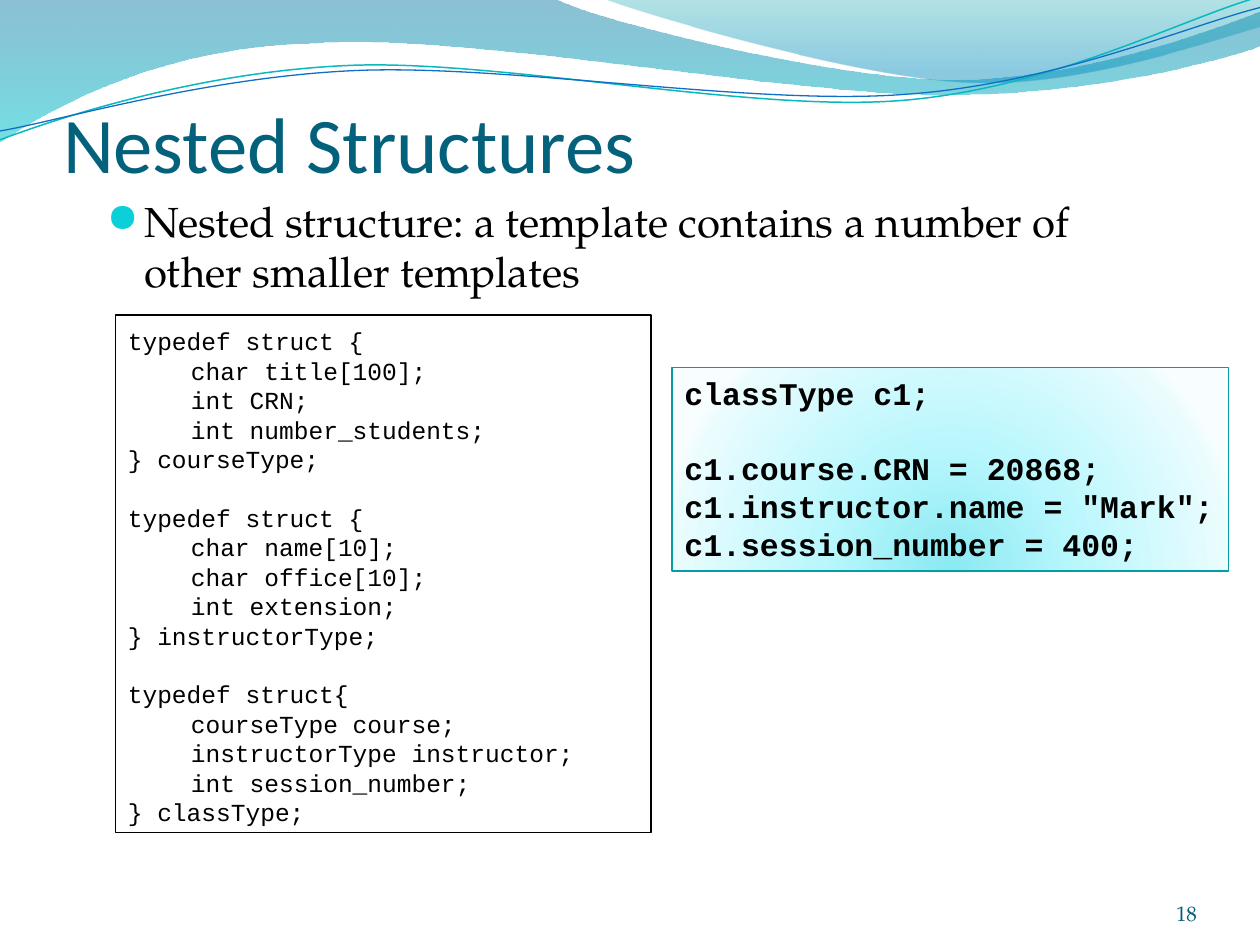
from lxml import etree
from pptx import Presentation
from pptx.dml.color import RGBColor
from pptx.enum.shapes import MSO_SHAPE
from pptx.enum.text import MSO_ANCHOR, MSO_AUTO_SIZE, PP_ALIGN
from pptx.oxml.ns import qn
from pptx.util import Inches, Pt

RECT = MSO_SHAPE.RECTANGLE
TOP, BOTTOM = MSO_ANCHOR.TOP, MSO_ANCHOR.BOTTOM
LEFT, RIGHT = PP_ALIGN.LEFT, PP_ALIGN.RIGHT
FIXED = MSO_AUTO_SIZE.NONE

WIDE, HIGH = 10, 7.5
COLS = 120  # square cells, so 90 rows
COLORS = {
    "title": "04617B", "text": "000000", "bullet": "0BD0D9",
    "number": "045D75", "teal": "0AB8BF", "blue": "0F6FC6",
    "edge": "069CA3",
}
HEAD, BODY, MONO, SIGN = "Calibri", "TeX Gyre Pagella", "Courier New", "OpenSymbol"

# Stops are (position %, colour, opacity %)
DEEP = [(0, "0074A1", 45), (100, "00C6CF", 55)]
PALE = [(0, "00A1A9", 30), (80, "008BBF", 45)]
GLOW = [(0, "8BE9F1", 100), (43, "B9F7FD", 100),
        (93, "EAFCFE", 100), (100, "F8FEFF", 100)]

# Points in hundredths of an inch; a step has one point (line) or three (curve)
BAND = [
    [(440, -1)],
    [(476, 17), (664, 63), (758, 63)],
    [(853, 63), (958, 26), (1000, 9)],
    [(1001, 36)],
    [(983, 44), (870, 76), (746, 75)],
    [(622, 75), (382, 28), (257, 34)],
    [(129, 36), (46, 83), (-1, 113)],
]
CREST = [
    [(509, 11), (682, 62), (769, 65)],
    [(856, 69), (961, 32), (1000, 21)],
    [(1000, 0)],
]
UPPER = [
    [(48, 93), (158, 57), (277, 52)],
    [(395, 47), (593, 89), (713, 80)],
    [(833, 71), (938, 15), (998, -2)],
]
LOWER = [
    [(47, 96), (164, 61), (283, 56)],
    [(403, 51), (597, 84), (717, 75)],
    [(836, 67), (941, 21), (1000, 6)],
]

# A tab marks an indented line; each inner list is a block
STRUCTS = [
    ["typedef struct {", "\tchar title[100];", "\tint CRN;",
     "\tint number_students;", "} courseType;"],
    ["typedef struct {", "\tchar name[10];", "\tchar office[10];",
     "\tint extension;", "} instructorType;"],
    ["typedef struct{", "\tcourseType course;",
     "\tinstructorType instructor;", "\tint session_number;",
     "} classType;"],
]
USAGE = [
    ["classType c1;"],
    ["c1.course.CRN = 20868;", 'c1.instructor.name = "Mark";',
     "c1.session_number = 400;"],
]


def rgb(name):
    return RGBColor.from_string(COLORS[name])


def node(parent, tag, **attrs):
    made = etree.SubElement(parent, qn(tag))
    for key, value in attrs.items():
        made.set(key, str(value))
    return made


def bend(shape, steps):
    """Join each run of three line segments into one cubic curve."""
    lines = iter(list(shape._element.iter(qn("a:lnTo"))))
    for step in steps:
        group = [next(lines) for _ in step]
        if len(group) == 3:
            curve = etree.Element(qn("a:cubicBezTo"))
            group[0].addprevious(curve)
            for line in group:
                curve.append(line[0])
                line.getparent().remove(line)


class Deck:
    def __init__(self):
        self.prs = Presentation()
        self.prs.slide_width = Inches(WIDE)
        self.prs.slide_height = Inches(HIGH)
        self.slide = self.prs.slides.add_slide(self.prs.slide_layouts[5])
        self.shapes = self.slide.shapes

    def cells(self, *spans):
        return [Inches(span * WIDE / COLS) for span in spans]

    def frame(self, shape, anchor=TOP, pads=(0.1, 0.05, 0.1, 0.05), wrap=True):
        box = shape.text_frame
        box.auto_size, box.word_wrap, box.vertical_anchor = FIXED, wrap, anchor
        (box.margin_left, box.margin_top,
         box.margin_right, box.margin_bottom) = map(Inches, pads)
        return box

    def style(self, para, font, size, color, align=LEFT, bold=False):
        para.alignment = align
        for run in para.runs:
            run.font.name, run.font.size = font, Pt(size)
            run.font.bold = bold
            run.font.color.rgb = rgb(color)

    def blend(self, shape, stops, around=None):
        """Fill with a gradient, downwards or around a rectangle."""
        shape.fill.solid()
        props = shape._element.spPr
        grad = etree.Element(qn("a:gradFill"), rotWithShape="1")
        props.replace(props.find(qn("a:solidFill")), grad)
        row = node(grad, "a:gsLst")
        for place, color, solid in stops:
            stop = node(row, "a:gs", pos=place * 1000)
            tint = node(stop, "a:srgbClr", val=color)
            if solid < 100:
                node(tint, "a:alpha", val=solid * 1000)
        if around:
            ring = node(grad, "a:path", path="circle")
            sides = {k: v * 1000 for k, v in zip("ltrb", around)}
            node(ring, "a:fillToRect", **sides)
        else:
            node(grad, "a:lin", ang=5400000, scaled=0)

    def wave(self, start, steps, stops=None, line=None, width=0.75):
        """Draw a filled wave if stops are given, else a curved line."""
        pen = self.shapes.build_freeform(*start, scale=Inches(0.01))
        pen.add_line_segments(sum(steps, []), close=bool(stops))
        shape = pen.convert_to_shape()
        bend(shape, steps)
        shape.shadow.inherit = False
        if stops:
            self.blend(shape, stops)
            shape.line.fill.background()
        else:
            shape.fill.background()
            shape.line.color.rgb = rgb(line)
            shape.line.width = Pt(width)

    def title(self, text, *place):
        shape = self.shapes.title
        shape.left, shape.top, shape.width, shape.height = self.cells(*place)
        box = self.frame(shape, BOTTOM, (0, 0.05, 0, 0))
        box.text = text
        self.style(box.paragraphs[0], HEAD, 45, "title")

    def point(self, text, *place):
        box = self.frame(self.shapes.add_textbox(*self.cells(*place)))
        box.text = text
        para = box.paragraphs[0]
        self.style(para, BODY, 24, "text")
        para.space_before = Pt(4.8)
        props = para._p.get_or_add_pPr()
        props.set("marL", str(Inches(0.3)))
        props.set("indent", str(-Inches(0.3)))
        node(node(props, "a:buClr"), "a:srgbClr", val=COLORS["bullet"])
        node(props, "a:buSzPct", val=95000)
        node(props, "a:buFont", typeface=SIGN)
        node(props, "a:buChar", char="●")

    def number(self, text, *place):
        shape = self.shapes.add_textbox(*self.cells(*place))
        box = self.frame(shape, BOTTOM, (0, 0, 0, 0))
        box.text = text
        self.style(box.paragraphs[0], BODY, 12, "number", RIGHT)

    def code(self, blocks, place, size, line, anchor=TOP, bold=False, wrap=True):
        shape = self.shapes.add_shape(RECT, *self.cells(*place))
        shape.shadow.inherit = False
        shape.fill.background()
        shape.line.color.rgb, shape.line.width = rgb(line), Pt(0.75)
        box = self.frame(shape, anchor, wrap=wrap)
        rows = [(row, i > 0 and j == 0) for i, block in enumerate(blocks)
                for j, row in enumerate(block)]
        box.text = "\n".join(row.strip() for row, _ in rows)
        for para, (row, gap) in zip(box.paragraphs, rows):
            self.style(para, MONO, size, "text", bold=bold)
            if gap:
                para.space_before = Pt(size * 1.2)
            if row.startswith("\t"):
                para._p.get_or_add_pPr().set("marL", str(Inches(0.5)))
        return shape


def main():
    deck = Deck()
    deck.wave((0, 0), BAND, DEEP)
    deck.wave((479, -1), CREST, PALE)
    deck.wave((0, 111), UPPER, line="teal", width=0.85)
    deck.wave((0, 104), LOWER, line="blue")
    deck.title("Nested Structures", 6, 9.2, 108, 8.8)
    deck.point("Nested structure: a template contains a number of "
               "other smaller templates", 9, 18, 102, 10)
    deck.number("18", 104, 83.4, 10, 4.8)
    deck.code(STRUCTS, (11, 30, 51, 49.3), 14, "text", BOTTOM)
    usage = deck.code(USAGE, (64, 35, 53, 19.4), 18, "edge", bold=True, wrap=False)
    deck.blend(usage, GLOW, (50, 130, 50, -30))
    deck.prs.save("out.pptx")


if __name__ == "__main__":
    main()
